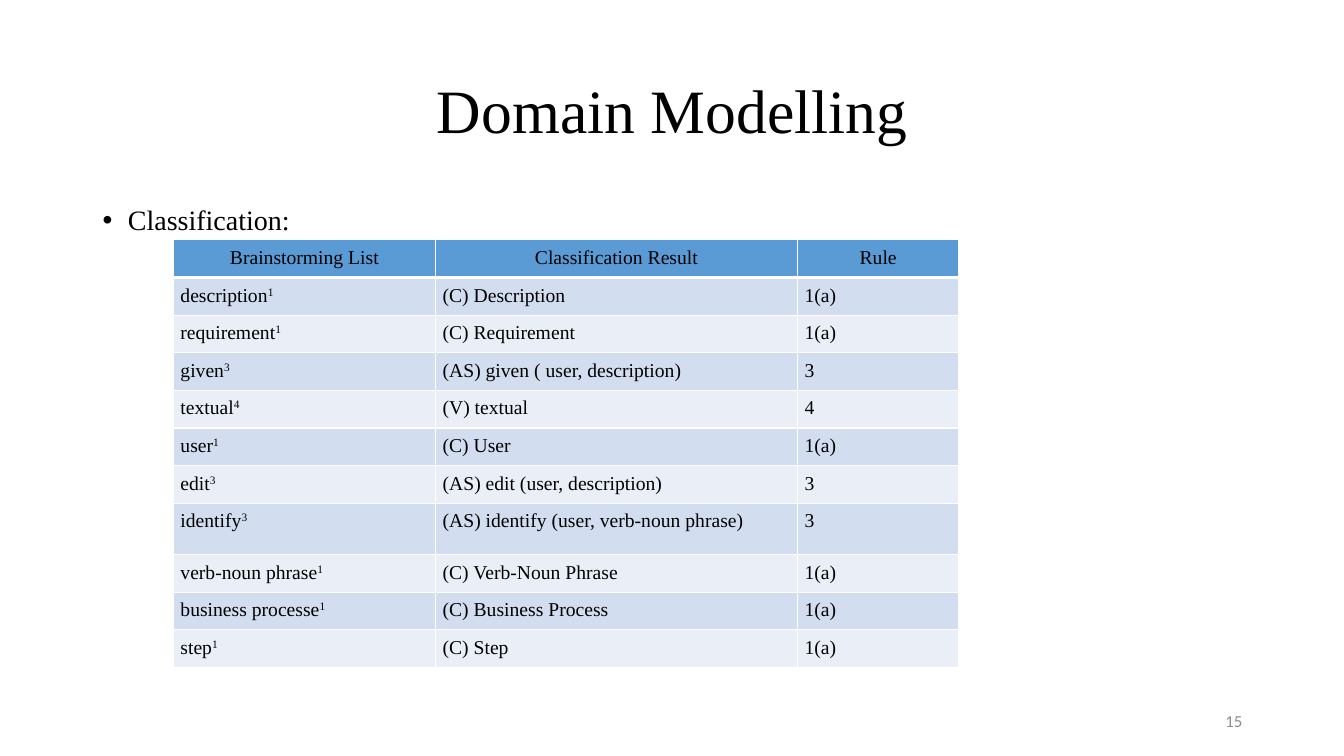
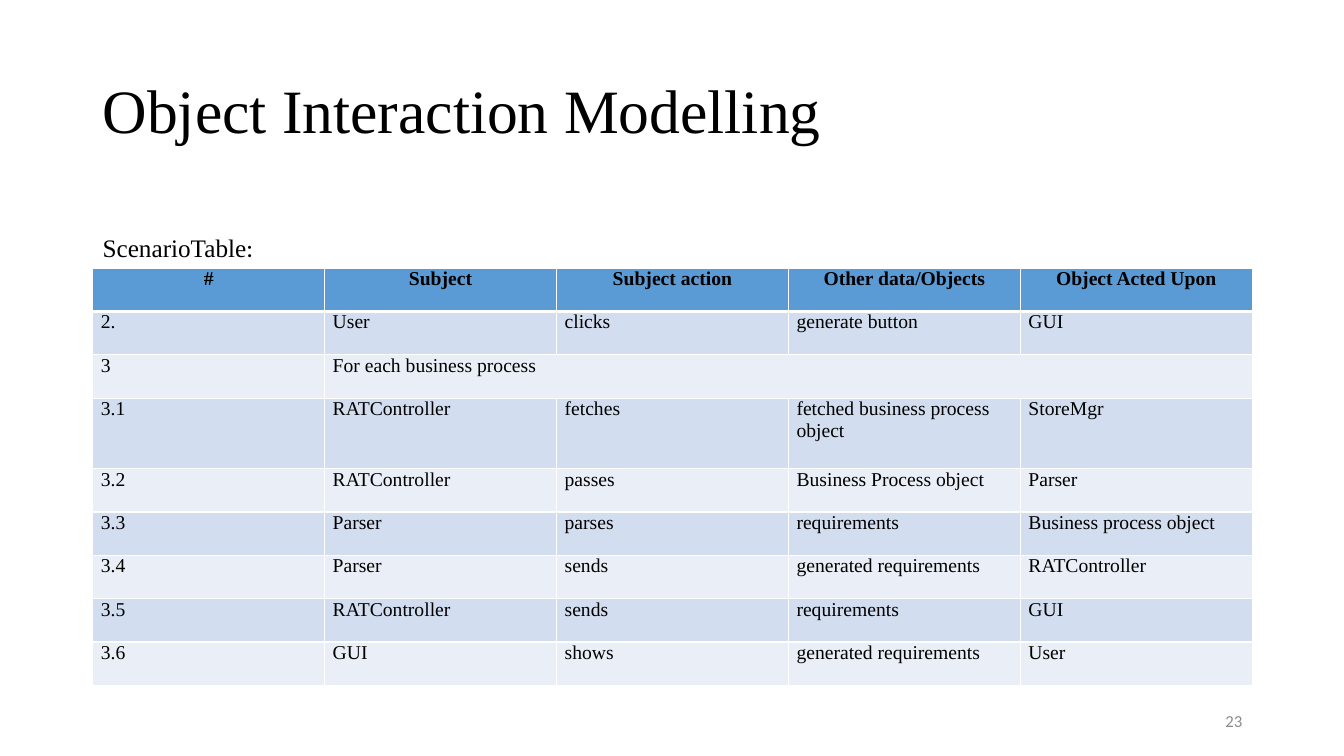
from dataclasses import dataclass

from lxml import etree
from pptx import Presentation
from pptx.dml import color
from pptx.enum import text
from pptx.oxml import ns
from pptx.util import Inches, Pt

# Shared style
SERIF, SANS = "Times New Roman", "Calibri"
BLACK, GREY, WHITE = "000000", "8C8C8C", "FFFFFF"
HEADER_FILL = "5B9BD5"
BAND_FILLS = ("D2DEEF", "EAEFF7")
LEFT, CONTENT_WIDTH = 0.92, 11.5
CENTER, RIGHT = text.PP_ALIGN.CENTER, text.PP_ALIGN.RIGHT
MIDDLE = text.MSO_ANCHOR.MIDDLE


@dataclass(frozen=True)
class TableStyle:
    left: float
    top: float
    widths: list[float]
    heights: list[float]
    inset_x: float
    inset_y: float
    bold_header: bool


@dataclass(frozen=True)
class PageFrame:
    title: str
    number: str
    title_align: text.PP_ALIGN | None = None


def rgb(value: str) -> color.RGBColor:
    return color.RGBColor.from_string(value)


def add_span(para, words: str, *, size=14, font=SERIF, ink=BLACK, bold=False, raised=False):
    span = para.add_run()
    span.text = words
    span.font.size = Pt(size)
    span.font.name = font
    span.font.bold = bold
    span.font.color.rgb = rgb(ink)
    if raised:
        span.font._element.set("baseline", "30000")


def add_text(page, words: str, left, top, width, height, *, align=None, anchor=None,
             spacing=None, bullet=False, **style):
    box = page.shapes.add_textbox(Inches(left), Inches(top), Inches(width), Inches(height))
    frame = box.text_frame
    frame.word_wrap = True
    frame.vertical_anchor = anchor
    para = frame.paragraphs[0]
    para.alignment = align
    para.line_spacing = spacing
    if bullet:
        props = para._p.get_or_add_pPr()
        props.set("marL", str(Inches(0.25)))
        props.set("indent", str(-Inches(0.25)))
        etree.SubElement(props, ns.qn("a:buFont")).set("typeface", "Arial")
        etree.SubElement(props, ns.qn("a:buChar")).set("char", "•")
    add_span(para, words, **style)
    return para


def add_page(deck, frame: PageFrame):
    page = deck.slides.add_slide(deck.slide_layouts[6])
    add_text(page, frame.title, LEFT, 0.4, CONTENT_WIDTH, 1.45, size=44,
             align=frame.title_align, anchor=MIDDLE, spacing=0.9)
    add_text(page, frame.number, 9.42, 6.95, 3, 0.4, size=12, font=SANS, ink=GREY,
             align=RIGHT, anchor=MIDDLE)
    return page


def set_borders(cell, row: int):
    """White rules, with a thicker one under the header row."""
    weights = {"L": 1, "R": 1, "T": 3 if row == 1 else 1, "B": 3 if row == 0 else 1}
    props = cell._tc.get_or_add_tcPr()
    for side, weight in weights.items():
        line = etree.SubElement(props, ns.qn(f"a:ln{side}"), w=str(Pt(weight)))
        fill = etree.SubElement(line, ns.qn("a:solidFill"))
        etree.SubElement(fill, ns.qn("a:srgbClr"), val=WHITE)


def fill_cell(cell, words: str, row: int, style: TableStyle):
    """Write one cell; a caret in the text starts a superscript."""
    is_header = row == 0
    set_borders(cell, row)
    cell.fill.solid()
    cell.fill.fore_color.rgb = rgb(HEADER_FILL if is_header else BAND_FILLS[(row - 1) % 2])
    cell.margin_left = cell.margin_right = Inches(style.inset_x)
    cell.margin_top = cell.margin_bottom = Inches(style.inset_y)
    para = cell.text_frame.paragraphs[0]
    para.alignment = CENTER if is_header else None
    base, _, mark = words.partition("^")
    if base:
        add_span(para, base, bold=is_header and style.bold_header)
    if mark:
        add_span(para, mark, raised=True)


def add_grid(page, rows: list[tuple[str, ...]], style: TableStyle):
    """Draw a banded table; a row that is too short spans its last cell."""
    count = len(style.widths)
    table = page.shapes.add_table(
        len(rows), count, Inches(style.left), Inches(style.top),
        Inches(sum(style.widths)), Inches(sum(style.heights))).table
    for column, width in zip(table.columns, style.widths):
        column.width = Inches(width)
    for index, (words, height) in enumerate(zip(rows, style.heights)):
        table.rows[index].height = Inches(height)
        padded = words + ("",) * (count - len(words))
        for column, entry in enumerate(padded):
            fill_cell(table.cell(index, column), entry, index, style)
        if len(words) < count:
            table.cell(index, len(words) - 1).merge(table.cell(index, count - 1))


# Content
CLASSIFICATION = [
    ("Brainstorming List", "Classification Result", "Rule"),
    ("description^1", "(C) Description", "1(a)"),
    ("requirement^1", "(C) Requirement", "1(a)"),
    ("given^3", "(AS) given ( user, description)", "3"),
    ("textual^4", "(V) textual", "4"),
    ("user^1", "(C) User", "1(a)"),
    ("edit^3", "(AS) edit (user, description)", "3"),
    ("identify^3", "(AS) identify (user, verb-noun phrase)", "3"),
    ("verb-noun phrase^1", "(C) Verb-Noun Phrase", "1(a)"),
    ("business processe^1", "(C) Business Process", "1(a)"),
    ("step^1", "(C) Step", "1(a)"),
]
SCENARIO = [
    ("#", "Subject", "Subject action", "Other data/Objects", "Object Acted Upon"),
    ("2.", "User", "clicks", "generate button", "GUI"),
    ("3", "For each business process"),
    ("3.1", "RATController", "fetches", "fetched business process object", "StoreMgr"),
    ("3.2", "RATController", "passes", "Business Process object", "Parser"),
    ("3.3", "Parser", "parses", "requirements", "Business process object"),
    ("3.4", "Parser", "sends", "generated requirements", "RATController"),
    ("3.5", "RATController", "sends", "requirements", "GUI"),
    ("3.6", "GUI", "shows", "generated requirements", "User"),
]
CLASSIFICATION_STYLE = TableStyle(
    1.72, 2.38, [2.6, 3.59, 1.6], [0.35] * 7 + [0.51] + [0.35] * 3, 0.07, 0.07, False)
SCENARIO_STYLE = TableStyle(
    LEFT, 2.66, [CONTENT_WIDTH / 5] * 5, [0.43] * 3 + [0.7] + [0.43] * 5, 0.08, 0, True)


def add_classification_page(deck):
    page = add_page(deck, PageFrame("Domain Modelling", "15", CENTER))
    add_text(page, "Classification:", LEFT, 2, CONTENT_WIDTH, 0.4, size=20,
             spacing=0.9, bullet=True)
    add_grid(page, CLASSIFICATION, CLASSIFICATION_STYLE)


def add_scenario_page(deck):
    page = add_page(deck, PageFrame("Object Interaction Modelling", "23"))
    add_grid(page, SCENARIO, SCENARIO_STYLE)
    para = add_text(page, "ScenarioTable", LEFT, 2.26, CONTENT_WIDTH, 0.4, size=18)
    add_span(para, ":", size=18, font=SANS)


def main():
    deck = Presentation()
    deck.slide_width, deck.slide_height = Inches(13.33), Inches(7.5)
    add_classification_page(deck)
    add_scenario_page(deck)
    deck.save("out.pptx")


if __name__ == "__main__":
    main()
